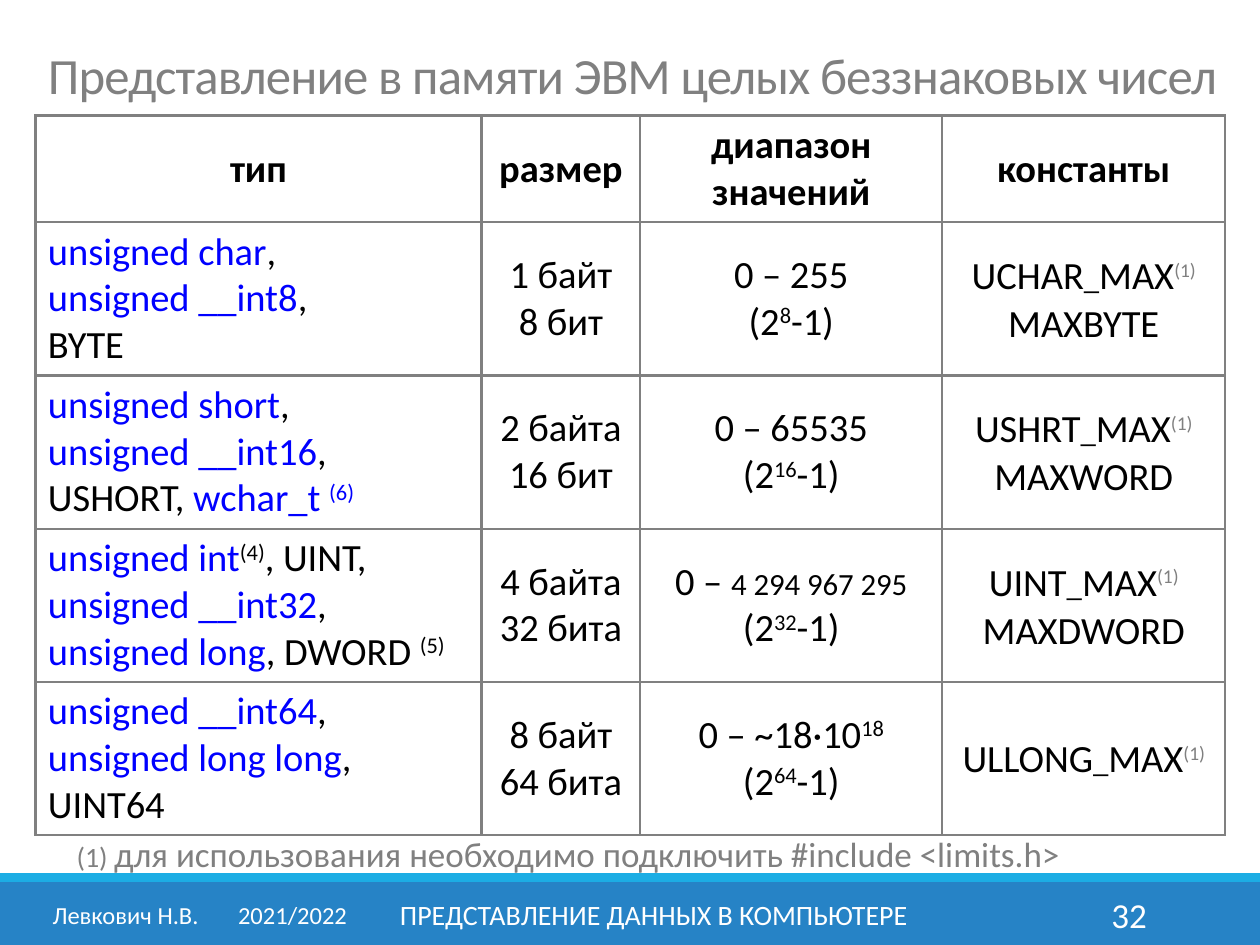
"""Build the slide about unsigned integer types in memory."""
from dataclasses import dataclass, replace

from lxml import etree
from pptx import Presentation
from pptx import util as u
from pptx.dml.color import RGBColor
from pptx.enum import shapes, text
from pptx.oxml import ns

Pt = u.Pt
LEFT, MID, RIGHT = text.PP_ALIGN.LEFT, text.PP_ALIGN.CENTER, text.PP_ALIGN.RIGHT
HUES = {"ink": "000000", "key": "0000FF", "gray": "808080",
        "white": "FFFFFF", "bar": "2683C6", "strip": "1CADE4"}


@dataclass(frozen=True)
class Run:
    text: str
    hue: str = "ink"
    size: float = 22
    bold: bool = False
    sup: bool = False
    caps: bool = False
    gap: int = 0


@dataclass(frozen=True)
class Box:
    left: float
    top: float
    width: float
    height: float

    def place(self) -> tuple:
        return tuple(Pt(n) for n in (self.left, self.top, self.width, self.height))


@dataclass(frozen=True)
class Label:
    box: Box
    runs: tuple
    align: int = LEFT
    tab: float = 0


def key(word: str) -> Run:
    return Run(word, "key")


def sup(word: str, hue: str = "ink") -> Run:
    return Run(word, hue, sup=True)


def span(top: str, base: str, power: str) -> list:
    return [[Run(top)], [Run(base), sup(power), Run("-1)")]]


def limit(name: str, *more: str) -> list:
    mark = Run("(1)", "gray", 24, sup=True, caps=True)
    return [[Run(name, caps=True), mark]] + [[Run(word)] for word in more]


def plain(*lines: str) -> list:
    return [[Run(line)] for line in lines]


COMMA = Run(",")
HEADS = ("тип", "размер", "диапазон значений", "константы")
ROWS = [
    ([[key("unsigned char"), COMMA], [key("unsigned __int8"), COMMA], [Run("BYTE")]],
     plain("1 байт", "8 бит"), span("0 – 255", "(2", "8"),
     limit("UCHAR_MAX", "MAXBYTE")),
    ([[key("unsigned short"), COMMA], [key("unsigned __int16"), COMMA],
      [Run("USHORT, "), key("wchar_t "), sup("(6)", "key")]],
     plain("2 байта", "16 бит"), span("0 – 65535", "(2", "16"),
     limit("USHRT_MAX", "MAXWORD")),
    ([[key("unsigned int"), sup("(4)"), Run(", UINT,")],
      [key("unsigned __int32"), COMMA],
      [key("unsigned long"), Run(", DWORD "), sup("(5)")]],
     plain("4 байта", "32 бита"),
     [[Run("0 – "), Run("4 294 967 295", caps=True)], *span("", "(2", "32")[1:]],
     limit("UINT_MAX", "MAXDWORD")),
    ([[key("unsigned __int64"), COMMA], [key("unsigned long long"), COMMA],
      [Run("UINT64")]],
     plain("8 байт", "64 бита"),
     [[Run("0 – ~18·10"), sup("18")], *span("", "(2", "64")[1:]],
     limit("ULLONG_MAX")),
]
WIDTHS = (255, 90.7, 172.6, 161.7)
HEAD, ROW = 61, 87.6
GRID = Box(20.2, 66, sum(WIDTHS), HEAD + ROW * len(ROWS))
TITLE = Box(20.2, 16.6, 689, 57.6)
BARS = ((Box(0, 504, 720, 36), "bar"), (Box(0, 499, 720, 5), "strip"))
NOTE = Run("(1) ", "gray", 20, caps=True)
LABELS = (
    Label(Box(584.6, 508.3, 77.8, 28.8), (Run("32", "white", 20),), RIGHT),
    Label(Box(23, 508.3, 188, 28.8),
          (Run("Левкович Н.В.\t2021/2022", "white", 14),), tab=106),
    Label(Box(217.4, 508.3, 312.5, 28.8),
          (Run("ПРЕДСТАВЛЕНИЕ ДАННЫХ В КОМПЬЮТЕРЕ", "white", 16),), MID),
    Label(Box(36.7, 471.6, 682.6, 31.7),
          (NOTE, replace(NOTE, caps=False,
                         text="для использования необходимо подключить #include <limits.h>"))),
)


def tint(fill, hue: str) -> None:
    fill.solid()
    fill.fore_color.rgb = RGBColor.from_string(HUES[hue])


def write(frame, lines: list, align: int) -> None:
    for spot, line in enumerate(lines):
        para = frame.add_paragraph() if spot else frame.paragraphs[0]
        para.alignment = align
        for item in line:
            run = para.add_run()
            run.text = item.text
            font = run.font
            font.name, font.size, font.bold = "Calibri", Pt(item.size), item.bold
            font.color.rgb = RGBColor.from_string(HUES[item.hue])
            props = run._r.get_or_add_rPr()
            if item.sup:
                props.set("baseline", "30000")
            if item.caps:
                props.set("cap", "small")
            if item.gap:
                props.set("spc", str(item.gap))


def edge(cell) -> None:
    props = cell._tc.get_or_add_tcPr()
    for side in ("a:lnL", "a:lnR", "a:lnT", "a:lnB"):
        line = etree.SubElement(props, ns.qn(side), w=str(Pt(1.5)))
        fill = etree.SubElement(line, ns.qn("a:solidFill"))
        etree.SubElement(fill, ns.qn("a:srgbClr"), val=HUES["gray"])


def draw_bar(slide, box: Box, hue: str) -> None:
    bar = slide.shapes.add_shape(shapes.MSO_SHAPE.RECTANGLE, *box.place())
    bar.shadow.inherit = False
    tint(bar.fill, hue)
    bar.line.fill.background()


def draw_title(slide, box: Box) -> None:
    title = slide.shapes.title
    title.left, title.top, title.width, title.height = box.place()
    frame = title.text_frame
    frame.auto_size = text.MSO_AUTO_SIZE.NONE
    frame.vertical_anchor = text.MSO_ANCHOR.MIDDLE
    words = "Представление в памяти ЭВМ целых беззнаковых чисел"
    write(frame, [[Run(words, "gray", 29, gap=-50)]], LEFT)
    frame.paragraphs[0].line_spacing = 0.85


def draw_grid(slide, box: Box) -> None:
    grid = slide.shapes.add_table(len(ROWS) + 1, len(WIDTHS), *box.place()).table
    grid.first_row = grid.horz_banding = False
    for col, width in zip(grid.columns, WIDTHS):
        col.width = Pt(width)
    heads = [[[Run(word, bold=True)]] for word in HEADS]
    for r, cells in enumerate([heads, *ROWS]):
        grid.rows[r].height = Pt(ROW if r else HEAD)
        for c, lines in enumerate(cells):
            cell = grid.cell(r, c)
            side = bool(r) and c == 0
            cell.vertical_anchor = text.MSO_ANCHOR.TOP if side else text.MSO_ANCHOR.MIDDLE
            edge(cell)
            tint(cell.fill, "white")
            write(cell.text_frame, lines, LEFT if side else MID)


def draw_label(slide, label: Label) -> None:
    frame = slide.shapes.add_textbox(*label.box.place()).text_frame
    frame.word_wrap = True
    frame.vertical_anchor = text.MSO_ANCHOR.MIDDLE
    write(frame, [label.runs], label.align)
    if label.tab:
        props = frame.paragraphs[0]._p.get_or_add_pPr()
        tabs = etree.SubElement(props, ns.qn("a:tabLst"))
        etree.SubElement(tabs, ns.qn("a:tab"), pos=str(Pt(label.tab)), algn="l")


def main() -> None:
    deck = Presentation()
    deck.slide_width, deck.slide_height = Pt(720), Pt(540)
    slide = deck.slides.add_slide(deck.slide_layouts[5])
    for box, hue in BARS:
        draw_bar(slide, box, hue)
    draw_grid(slide, GRID)
    draw_title(slide, TITLE)
    for label in LABELS:
        draw_label(slide, label)
    deck.save("out.pptx")


if __name__ == "__main__":
    main()
